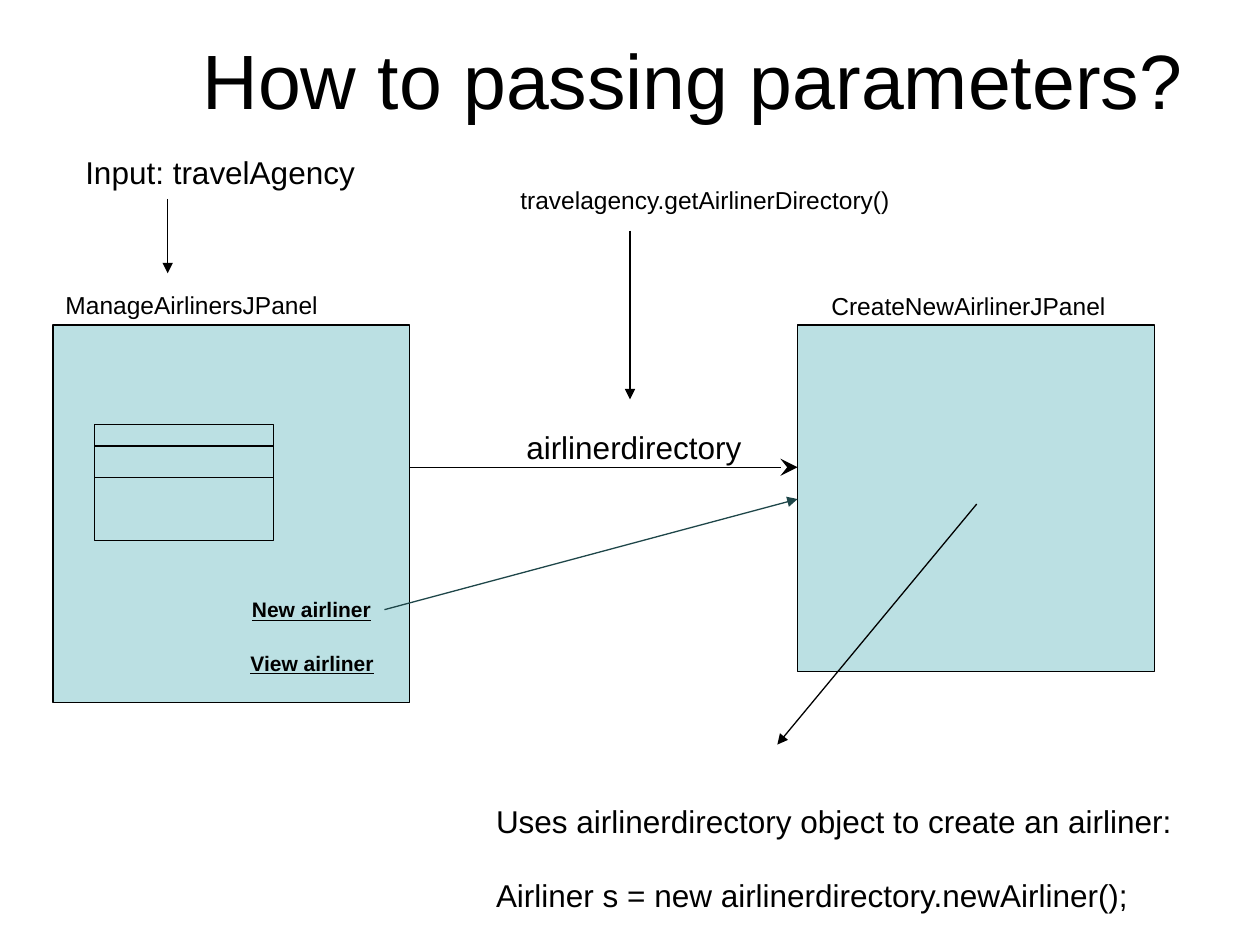
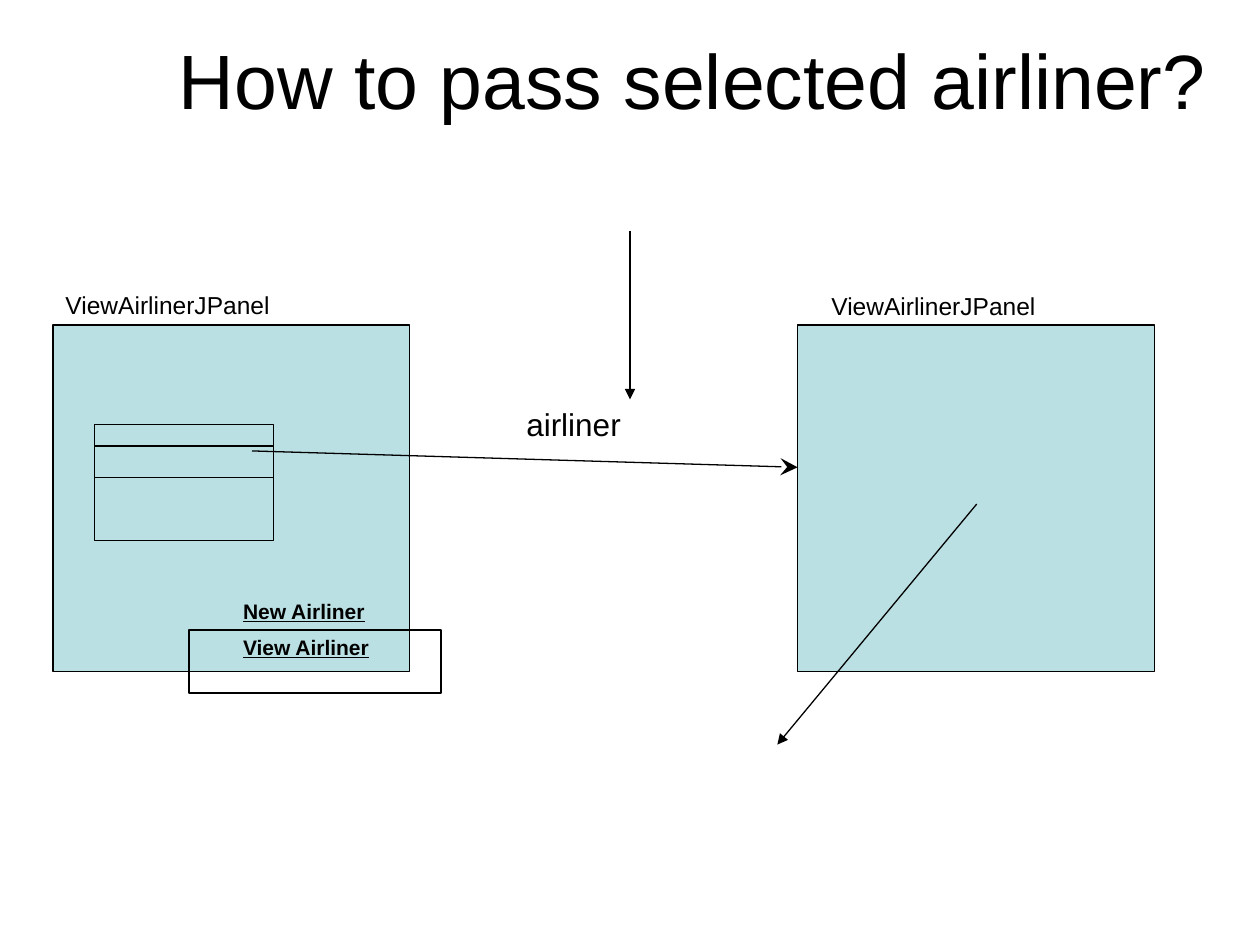
from lxml.etree import SubElement
from pptx import Presentation
from pptx.dml.color import RGBColor
from pptx.enum.shapes import MSO_CONNECTOR, MSO_SHAPE
from pptx.enum.text import MSO_ANCHOR, MSO_AUTO_SIZE, PP_ALIGN
from pptx.oxml.ns import qn
from pptx.util import Cm, Pt

COLORS = {"ink": "000000", "panel": "BBE0E3", "link": "1E4649"}
FONTS = {
    "title": {"size": Pt(44)},
    "body": {"size": Pt(18)},
    "caption": {"size": Pt(14)},
    "button": {"size": Pt(12), "bold": True, "underline": True},
}
LABEL_FRAME = {"word_wrap": False, "auto_size": MSO_AUTO_SIZE.SHAPE_TO_FIT_TEXT}
TITLE_FRAME = {"word_wrap": True, "vertical_anchor": MSO_ANCHOR.MIDDLE}
HEAD_SIZES = {"triangle": "med", "stealth": "lg"}

LEFT, RIGHT, TOP = 1.07, 16.08, 6.55
PANEL_WIDTH, PANEL_HEIGHT = 7.19, 6.99
ENTRY = (RIGHT, 9.42)


def color(name):
    """Return a palette colour."""
    return RGBColor.from_string(COLORS[name])


def apply_format(target, values):
    """Set every attribute in values on the target."""
    for name, value in values.items():
        setattr(target, name, value)


def add_text(page, lines, area, style, frame=LABEL_FRAME, **paragraph):
    """Add a text box with one paragraph for each line."""
    box = page.shapes.add_textbox(*map(Cm, area))
    apply_format(box.text_frame, frame)
    for index, line in enumerate(lines):
        para = box.text_frame.add_paragraph() if index else box.text_frame.paragraphs[0]
        apply_format(para, paragraph)
        if index:
            para.space_before = Pt(20.7)
        span = para.add_run()
        span.text = line
        apply_format(span.font, {"name": "Arial", **FONTS[style]})
        span.font.color.rgb = color("ink")
    return box


def add_indented(page, lines, area, style):
    """Add second-level text, indented by half an inch."""
    box = add_text(page, lines, area, style, level=1)
    for para in box.text_frame.paragraphs:
        properties = para._p.get_or_add_pPr()
        properties.set("marL", str(Cm(1.27)))
        properties.set("indent", "0")


def add_box(page, area, fill="panel"):
    """Add an outlined rectangle, hollow when fill is None."""
    box = page.shapes.add_shape(MSO_SHAPE.RECTANGLE, *map(Cm, area))
    box.shadow.inherit = False
    if fill:
        box.fill.solid()
        box.fill.fore_color.rgb = color(fill)
    else:
        box.fill.background()
    box.line.color.rgb = color("ink")
    box.line.width = Pt(0.75)


def add_line(page, start, end, head=None, ink="ink"):
    """Add a straight line, with an arrowhead at its end if given."""
    line = page.shapes.add_connector(MSO_CONNECTOR.STRAIGHT, *map(Cm, start + end))
    line.line.color.rgb = color(ink)
    line.line.width = Pt(0.75)
    if head:
        size = HEAD_SIZES[head]
        SubElement(line.line._get_or_add_ln(), qn("a:tailEnd"), type=head, w=size, len=size)
    SubElement(line._element.spPr, qn("a:effectLst"))


def add_airliner_table(page):
    """Draw the sketch of the airliner table in the left panel."""
    left, width = 1.9, 3.61
    add_box(page, (left, 8.56, width, 2.34))
    for row in (8.99, 9.63):
        add_line(page, (left, row), (left + width, row))


def add_page(deck, title, left_name, left_width, right_name, right_width,
             left_height=PANEL_HEIGHT):
    """Add a page with the title, both panels and the shared arrows."""
    page = deck.slides.add_slide(deck.slide_layouts[6])
    add_text(page, [title], (2.54, 0, 22.86, 3.18), "title", TITLE_FRAME,
             alignment=PP_ALIGN.CENTER)
    add_box(page, (LEFT, TOP, PANEL_WIDTH, left_height))
    add_box(page, (RIGHT, TOP, PANEL_WIDTH, PANEL_HEIGHT))
    add_airliner_table(page)
    add_text(page, [left_name], (LEFT, 5.72, left_width, 0.86), "caption")
    add_text(page, [right_name], (16.51, 5.74, right_width, 0.86), "caption")
    add_line(page, (12.7, 4.65), (12.7, 8.05), "triangle")
    add_line(page, (19.69, 10.16), (15.67, 15.01), "triangle")
    return page


def build_parameters(deck):
    """Build the page on passing parameters."""
    page = add_page(deck, "How to passing parameters?", "ManageAirlinersJPanel", 5.64,
                    "CreateNewAirlinerJPanel", 6.07, left_height=7.62)
    add_text(page, ["New airliner"], (4.83, 11.91, 2.95, 0.76), "button")
    add_text(page, ["View airliner"], (4.8, 12.98, 3.02, 0.76), "button")
    add_line(page, (LEFT + PANEL_WIDTH, ENTRY[1]), ENTRY, "stealth")
    add_text(page, ["Input: travelAgency"], (1.47, 2.97, 5.99, 1.02), "body")
    add_line(page, (3.38, 4.01), (3.38, 5.51), "triangle")
    add_indented(page, ["airlinerdirectory"], (9.09, 8.51, 6.17, 1.02), "body")
    add_indented(page, ["travelagency.getAirlinerDirectory()"],
                 (8.97, 3.61, 9.27, 0.86), "caption")
    add_indented(page, ["Uses airlinerdirectory object to create an airliner:",
                        "Airliner s = new airlinerdirectory.newAirliner();"],
                 (8.48, 16.05, 15.88, 2.57), "body")
    add_line(page, (7.75, 12.29), (RIGHT, 10.06), "triangle", "link")


def build_selection(deck):
    """Build the page on passing the selected airliner."""
    page = add_page(deck, "How to pass selected airliner?", "ViewAirlinerJPanel", 4.65,
                    "ViewAirlinerJPanel", 4.65)
    add_text(page, ["New Airliner"], (4.65, 11.94, 3, 0.76), "button")
    add_text(page, ["View Airliner"], (4.65, 12.67, 3.07, 0.76), "button")
    add_line(page, (5.08, 9.09), ENTRY, "stealth")
    add_indented(page, ["airliner"], (9.09, 8.05, 3.71, 1.02), "body")
    add_box(page, (3.81, 12.7, 5.08, 1.27), fill=None)


def main():
    """Build and save the deck."""
    deck = Presentation()
    deck.slide_width, deck.slide_height = Cm(25.4), Cm(19.05)
    build_parameters(deck)
    build_selection(deck)
    deck.save("out.pptx")


main()
